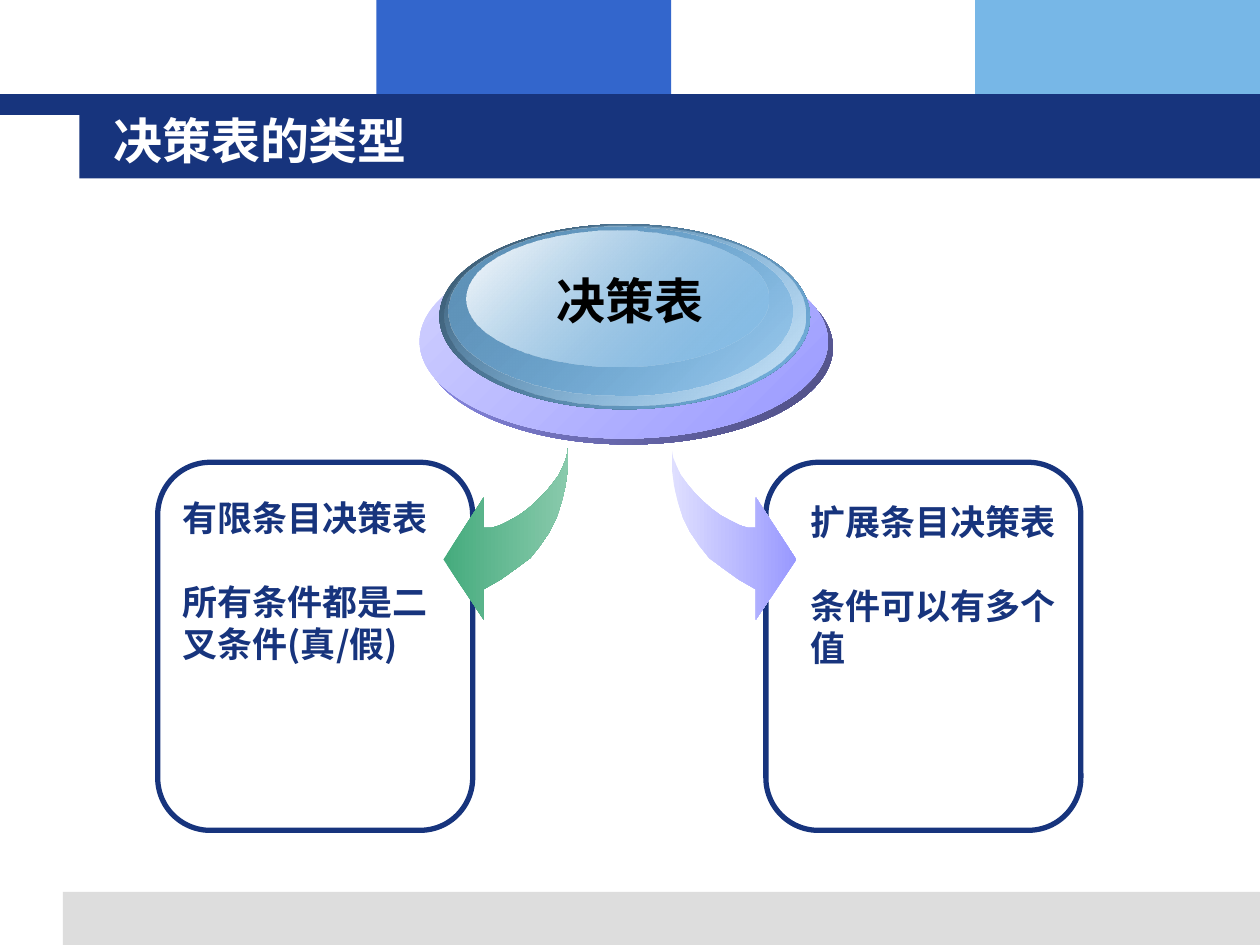
from dataclasses import dataclass

from lxml.etree import SubElement
from pptx import Presentation
from pptx.dml.color import RGBColor as RGB
from pptx.enum.shapes import MSO_SHAPE as Shape
from pptx.enum.text import MSO_ANCHOR as Anchor, PP_ALIGN as Align
from pptx.oxml.ns import qn
from pptx.util import Cm, Pt


@dataclass(frozen=True)
class Theme:
    navy: str = "17347D"
    blue: str = "3366CC"
    sky: str = "77B7E7"
    grey: str = "DDDDDD"
    white: str = "FFFFFF"
    black: str = "000000"
    lilac: str = "9999FF"
    heading_size: int = 28
    body_size: int = 20
    line_factor: float = 1.2
    title_font: str = "Times New Roman"
    label_font: str = "Arial"
    body_font: str = "Noto Sans CJK SC"


THEME = Theme()


def write_text(frame, *paragraphs, size, color, font, align=Align.LEFT,
               anchor=Anchor.TOP, gap=0):
    """Fill a frame with bold text; gap is the space between paragraphs."""
    frame.word_wrap = True
    frame.vertical_anchor = anchor
    for index, words in enumerate(paragraphs):
        paragraph = frame.add_paragraph() if index else frame.paragraphs[0]
        paragraph.alignment = align
        paragraph.line_spacing = Pt(size * THEME.line_factor)
        paragraph.space_before = Pt(gap if index else 0)
        run = paragraph.add_run()
        run.text = words
        run.font.size = Pt(size)
        run.font.bold = True
        run.font.color.rgb = RGB.from_string(color)
        run.font.name = font
        SubElement(run.font._element, qn("a:ea"), typeface=THEME.body_font)


class SlideBuilder:
    def __init__(self, slide, theme):
        self.slide = slide
        self.shapes = slide.shapes
        self.theme = theme

    def title(self, words, left, top, width, height):
        title = self.shapes.title
        title.left, title.top = Cm(left), Cm(top)
        title.width, title.height = Cm(width), Cm(height)
        write_text(title.text_frame, words, size=self.theme.heading_size,
                   color=self.theme.white, font=self.theme.title_font,
                   anchor=Anchor.MIDDLE)
        # The title must lie in front of the band drawn after it.
        self.shapes._spTree.append(title._element)

    def preset(self, kind, box):
        shape = self.shapes.add_shape(kind, *map(Cm, box))
        shape.shadow.inherit = False
        shape.line.fill.background()
        return shape

    def bar(self, color, *box):
        bar = self.preset(Shape.RECTANGLE, box)
        bar.fill.solid()
        bar.fill.fore_color.rgb = RGB.from_string(color)

    def panel(self, *box):
        panel = self.preset(Shape.ROUNDED_RECTANGLE, box)
        panel.fill.background()
        panel.line.color.rgb = RGB.from_string(self.theme.navy)
        panel.line.width = Pt(3)

    def gradient(self, shape, colors, angle, opacities=(100, 100)):
        shape.fill.gradient()
        shape.fill.gradient_angle = angle
        for stop, color in zip(shape.fill.gradient_stops, colors):
            stop.color.rgb = RGB.from_string(color)
        stops = shape._element.spPr.find(qn("a:gradFill")).iter(qn("a:srgbClr"))
        for color_element, opacity in zip(stops, opacities):
            if opacity < 100:
                SubElement(color_element, qn("a:alpha"), val=str(opacity * 1000))

    def ellipse(self, box, colors, opacities=(100, 100)):
        self.gradient(self.preset(Shape.OVAL, box), colors, 315, opacities)

    def curved_arrow(self, tail_x, tail_y, direction, colors):
        """Draw an arrow from its tail; direction is -1 to the left, 1 to the right."""
        points = [(Cm(tail_x + direction * dx), Cm(tail_y + dy))
                  for dx, dy in ARROW_OUTLINE]
        builder = self.shapes.build_freeform(*points[0])
        builder.add_line_segments(points[1:], close=True)
        arrow = builder.convert_to_shape()
        arrow.shadow.inherit = False
        arrow.line.fill.background()
        self.gradient(arrow, colors, 0)

    def text(self, box, *paragraphs, **style):
        frame = self.shapes.add_textbox(*map(Cm, box)).text_frame
        write_text(frame, *paragraphs, **style)


# Offsets in cm from the tail, for an arrow that points right.
ARROW_OUTLINE = [
    (0, 0), (0, 0.38), (0.05, 0.76), (0.13, 1.09), (0.23, 1.4), (0.37, 1.68),
    (0.56, 1.96), (0.76, 2.21), (1.03, 2.41), (1.35, 2.64), (1.7, 2.84),
    (1.7, 3.45), (2.51, 2.24), (1.7, 0.99), (1.7, 1.6), (1.53, 1.6),
    (1.37, 1.55), (1.17, 1.45), (0.99, 1.35), (0.81, 1.22), (0.64, 1.07),
    (0.46, 0.89), (0.31, 0.71), (0.18, 0.53), (0.1, 0.36), (0.03, 0.18),
]


def main():
    deck = Presentation()
    deck.slide_width, deck.slide_height = Cm(25.4), Cm(19.05)
    page = SlideBuilder(deck.slides.add_slide(deck.slide_layouts[5]), THEME)

    page.bar(THEME.blue, 7.59, 0, 5.94, 2.34)
    page.bar(THEME.sky, 19.66, 0, 5.74, 2.34)
    page.bar(THEME.grey, 1.27, 17.98, 24.13, 1.07)
    page.bar(THEME.navy, 0, 1.9, 25.4, 0.42)
    page.bar(THEME.navy, 1.6, 1.9, 23.8, 1.7)
    page.title("决策表的类型", 2.03, 2.03, 21.69, 1.57)

    for panel_left in (15.44, 3.18):
        page.panel(panel_left, 9.32, 6.35, 7.42)

    page.curved_arrow(11.45, 9.04, -1, ("45AB7D", "89CAAC"))
    page.curved_arrow(13.54, 9.04, 1, ("DFDFFF", THEME.lilac))

    page.ellipse((8.56, 5.05, 8.23, 3.91), (THEME.lilac, "4A4A7C"))
    page.ellipse((8.46, 4.93, 8.23, 3.91), ("D2D2FF", THEME.lilac))
    page.ellipse((8.86, 4.52, 7.47, 3.73), ("37556B", THEME.sky))
    page.ellipse((8.97, 4.55, 7.26, 3.63), (THEME.sky, "D0E6F7"), (0, 100))
    page.ellipse((9.04, 4.57, 6.93, 3.4), ("5E91B7", THEME.sky), (100, 48))
    page.ellipse((9.4, 4.65, 6.1, 2.74), (THEME.white, THEME.sky), (100, 38))
    page.text((10.69, 5.33, 4.01, 1.45), "决策表", size=THEME.heading_size,
              color=THEME.black, font=THEME.label_font, align=Align.CENTER)

    body = dict(size=THEME.body_size, color=THEME.navy, font=THEME.body_font,
                gap=THEME.body_size * THEME.line_factor)
    page.text((3.43, 9.88, 5.66, 4.5), "有限条目决策表",
              "所有条件都是二叉条件(真/假)", **body)
    page.text((16.08, 9.96, 5.66, 3.66), "扩展条目决策表",
              "条件可以有多个值", **body)

    deck.save("out.pptx")


if __name__ == "__main__":
    main()
